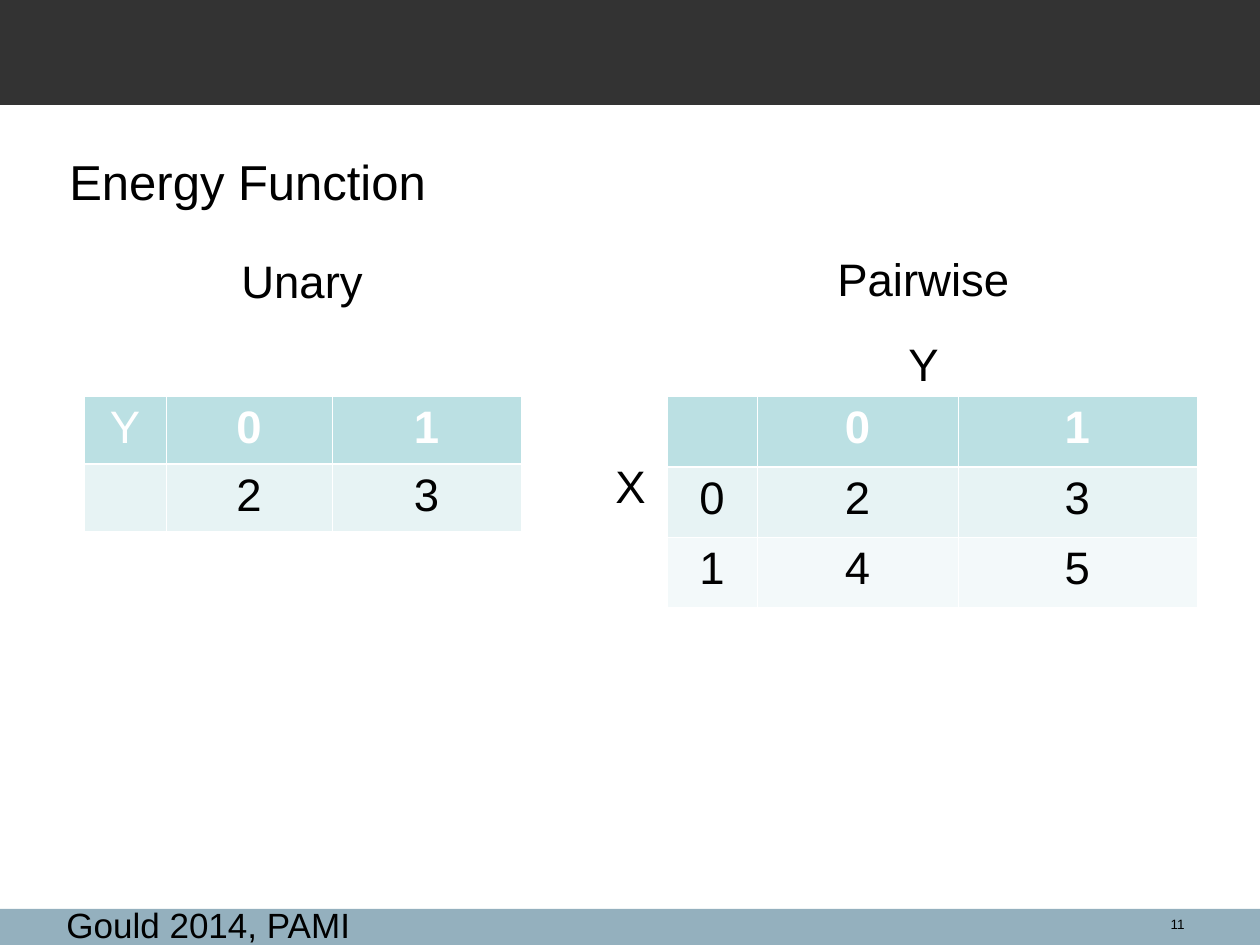
from dataclasses import dataclass

from lxml.etree import SubElement
from pptx import Presentation
from pptx.dml.color import RGBColor
from pptx.enum.shapes import MSO_SHAPE as Preset
from pptx.enum.text import MSO_AUTO_SIZE as AutoSize, PP_ALIGN as Align
from pptx.oxml.ns import qn
from pptx.util import Emu, Pt

PX = 914400 / 126
BLACK, WHITE = "000000", "FFFFFF"
ROW_FILLS = ("BBE0E3", "E7F3F4", "F3F9FA")
THIN, THICK = 0.45, 1.47


@dataclass
class Band:
    top: int
    height: int
    color: str


@dataclass
class Label:
    text: str
    left: int
    top: int
    width: int
    height: int
    size: float = 26
    align: Align = Align.LEFT
    grows: bool = True


@dataclass
class EnergyTable:
    left: int
    top: int
    columns: tuple[int, ...]
    row_heights: tuple[int, ...]
    rows: tuple[tuple[str, ...], ...]
    side_margin: int
    bold_header: tuple[bool, ...]


def px(length: int) -> Emu:
    return Emu(round(length * PX))


def rgb(color: str) -> RGBColor:
    return RGBColor.from_string(color)


def apply(target, values: dict) -> None:
    for name, value in values.items():
        setattr(target, name, value)


def write(frame, text: str, size: float, color: str, align: Align, bold: bool = False) -> None:
    paragraph = frame.paragraphs[0]
    paragraph.alignment = align
    run = paragraph.add_run()
    run.text = text
    apply(run.font, {"name": "Arial", "size": Pt(size), "bold": bold})
    run.font.color.rgb = rgb(color)


def draw_band(slide, band: Band) -> None:
    bar = slide.shapes.add_shape(Preset.RECTANGLE, 0, px(band.top), px(1260), px(band.height))
    bar.shadow.inherit = False
    bar.fill.solid()
    bar.fill.fore_color.rgb = rgb(band.color)
    bar.line.fill.background()


def draw_label(slide, label: Label) -> None:
    bounds = (label.left, label.top, label.width, label.height)
    frame = slide.shapes.add_textbox(*map(px, bounds)).text_frame
    apply(frame, {
        "word_wrap": not label.grows,
        "auto_size": AutoSize.SHAPE_TO_FIT_TEXT if label.grows else AutoSize.NONE,
    })
    write(frame, label.text, label.size, BLACK, label.align)


def draw_borders(cell, row: int) -> None:
    widths = {
        "a:lnL": THIN,
        "a:lnR": THIN,
        "a:lnT": THICK if row == 1 else THIN,
        "a:lnB": THICK if row == 0 else THIN,
    }
    properties = cell._tc.get_or_add_tcPr()
    for side, width in widths.items():
        line = SubElement(properties, qn(side), w=str(Pt(width)))
        SubElement(SubElement(line, qn("a:solidFill")), qn("a:srgbClr"), val=WHITE)


def draw_table(slide, energy: EnergyTable) -> None:
    grid = slide.shapes.add_table(
        len(energy.rows), len(energy.columns), px(energy.left), px(energy.top),
        px(sum(energy.columns)), px(sum(energy.row_heights)),
    ).table
    apply(grid, {"first_row": False, "horz_banding": False})
    for column, width in zip(grid.columns, energy.columns):
        column.width = px(width)
    for r, (height, values) in enumerate(zip(energy.row_heights, energy.rows)):
        grid.rows[r].height = px(height)
        for c, value in enumerate(values):
            cell = grid.cell(r, c)
            apply(cell, {"margin_left": px(energy.side_margin), "margin_right": px(energy.side_margin)})
            draw_borders(cell, r)
            cell.fill.solid()
            cell.fill.fore_color.rgb = rgb(ROW_FILLS[r])
            if value:
                header = r == 0
                write(cell.text_frame, value, 26, WHITE if header else BLACK,
                      Align.CENTER, header and energy.bold_header[c])


BANDS = (Band(909, 36, "94B0BE"), Band(0, 105, "333333"))
LABELS = (
    Label("11", 1116, 910, 81, 30, 7.7, Align.RIGHT, False),
    Label("Energy Function", 57, 145, 382, 72, 28),
    Label("Gould 2014, PAMI", 54, 897, 312, 56, 20),
    Label("Unary", 229, 247, 150, 68),
    Label("Pairwise", 825, 245, 199, 68),
    Label("X", 603, 452, 58, 68),
    Label("Y", 896, 330, 58, 68),
)
TABLES = (
    EnergyTable(84, 396, (82, 166, 189), (68, 67),
                (("Y", "0", "1"), ("", "2", "3")), 9, (False, True, True)),
    EnergyTable(667, 396, (90, 201, 239), (71, 70, 70),
                (("", "0", "1"), ("0", "2", "3"), ("1", "4", "5")), 13, (True, True, True)),
)


def main() -> None:
    deck = Presentation()
    apply(deck, {"slide_width": px(1260), "slide_height": px(945)})
    slide = deck.slides.add_slide(deck.slide_layouts[6])
    for band in BANDS:
        draw_band(slide, band)
    for label in LABELS:
        draw_label(slide, label)
    for energy in TABLES:
        draw_table(slide, energy)
    deck.save("out.pptx")


if __name__ == "__main__":
    main()
